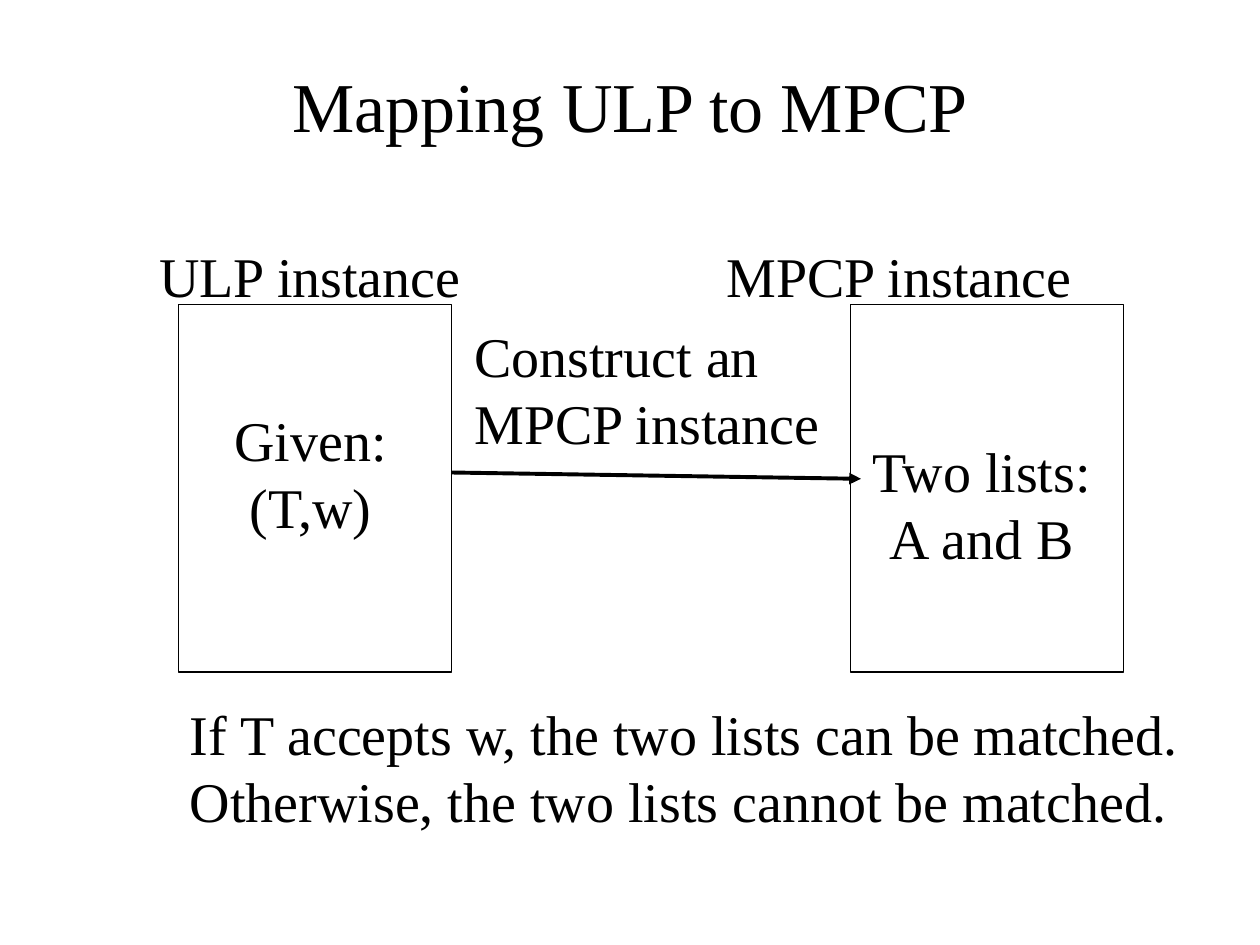
import pptx
import pptx.util
import pptx.dml.color
import pptx.enum.shapes
import pptx.enum.text
from lxml import etree

COLORS = {"ink": "000000", "paper": "FFFFFF"}
FONT = "Times New Roman"
LEFT = pptx.enum.text.PP_ALIGN.LEFT
CENTER = pptx.enum.text.PP_ALIGN.CENTER


def color(name):
    return pptx.dml.color.RGBColor.from_string(COLORS[name])


class Board:
    """Draws on one slide; lengths are cells of a grid with 12 to the inch."""

    def __init__(self, prs):
        self.slide = prs.slides.add_slide(prs.slide_layouts[6])
        fill = self.slide.background.fill
        fill.solid()
        fill.fore_color.rgb = color("paper")

    def cells(self, *counts):
        return [pptx.util.Inches(n / 12) for n in counts]

    def text(self, box, lines, size=32, align=LEFT, wrap=False, middle=False):
        tf = self.slide.shapes.add_textbox(*self.cells(*box)).text_frame
        tf.word_wrap = wrap
        if middle:
            tf.vertical_anchor = pptx.enum.text.MSO_ANCHOR.MIDDLE
        else:
            tf.auto_size = pptx.enum.text.MSO_AUTO_SIZE.SHAPE_TO_FIT_TEXT
        for i, line in enumerate(lines):
            p = tf.add_paragraph() if i else tf.paragraphs[0]
            p.text = line
            p.alignment = align
            p.font.name = FONT
            p.font.size = pptx.util.Pt(size)
            p.font.color.rgb = color("ink")

    def frame(self, box):
        sp = self.slide.shapes.add_shape(
            pptx.enum.shapes.MSO_SHAPE.RECTANGLE, *self.cells(*box))
        sp.shadow.inherit = False
        sp.fill.background()
        sp.line.color.rgb = color("ink")
        sp.line.width = pptx.util.Pt(0.75)

    def arrow(self, start, end):
        line = self.slide.shapes.add_connector(
            pptx.enum.shapes.MSO_CONNECTOR.STRAIGHT, *self.cells(*start, *end))
        line.line.color.rgb = color("ink")
        line.line.width = pptx.util.Pt(2.25)
        ns = pptx.oxml.ns.qn
        etree.SubElement(line.line._get_or_add_ln(), ns("a:tailEnd"), type="triangle")
        etree.SubElement(line._element.spPr, ns("a:effectLst"))


def main():
    prs = pptx.Presentation()
    prs.slide_width = pptx.util.Inches(10)
    prs.slide_height = pptx.util.Inches(7.5)
    board = Board(prs)

    # Title
    board.text((9, 3, 102, 14), ["Mapping ULP to MPCP"], size=40,
               align=CENTER, wrap=True, middle=True)

    # The two instances
    for col in (17, 81):
        board.frame((col, 29, 26, 35))
    board.text((21.1, 38, 17, 14), ["Given:", "(T,w)"], align=CENTER)
    board.text((81, 41, 25, 14), ["Two lists:", "A and B"], align=CENTER, wrap=True)
    board.text((14, 22.4, 31.3, 7.6), ["ULP instance"])
    board.text((68, 22.4, 35.6, 7.6), ["MPCP instance"])

    # Construction step
    board.arrow((43, 45), (82, 45.6))
    board.text((44, 30, 35.6, 14), ["Construct an", "MPCP instance"])

    # Conclusion
    board.text((16.9, 66, 97.8, 14), [
        "If T accepts w, the two lists can be matched.",
        "Otherwise, the two lists cannot be matched.",
    ])

    prs.save("out.pptx")


if __name__ == "__main__":
    main()
